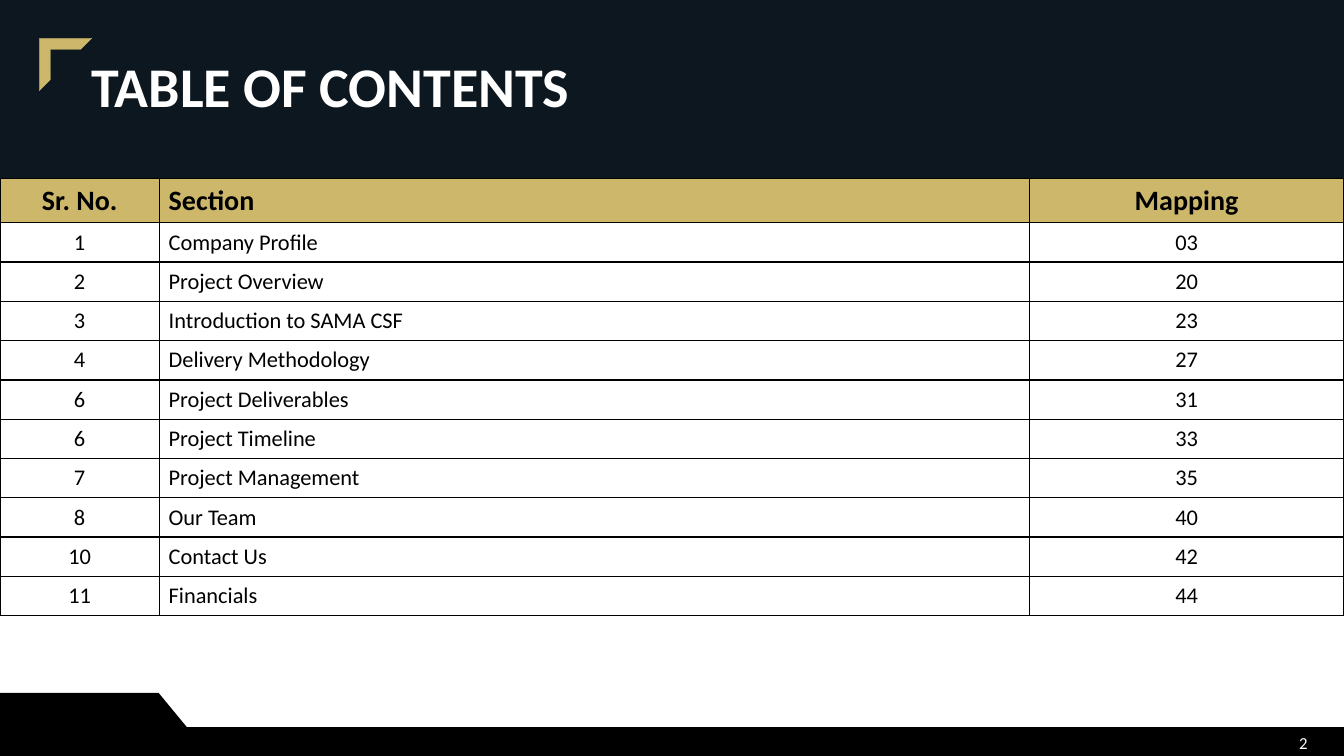
from dataclasses import dataclass

from lxml.etree import SubElement
from pptx import Presentation
from pptx.dml.color import RGBColor
from pptx.enum.shapes import MSO_SHAPE
from pptx.enum.text import MSO_ANCHOR, PP_ALIGN
from pptx.oxml.ns import qn
from pptx.util import Inches, Pt


@dataclass(frozen=True)
class Theme:
    """Colours, type sizes and the grid pitch of the deck."""
    navy: str = "0D171F"
    gold: str = "CCB76A"
    black: str = "000000"
    white: str = "FFFFFF"
    face: str = "Calibri"
    title: int = 40
    header: int = 20
    body: int = 16
    number: int = 12
    pitch: float = 0.1


@dataclass(frozen=True)
class Box:
    """A region measured in grid columns and rows."""
    left: float
    top: float
    width: float
    height: float

    def lengths(self):
        """Return left, top, width and height as slide lengths."""
        return [grid(n) for n in (self.left, self.top, self.width, self.height)]


THEME = Theme()
PAGE = Box(0, 0, 133.33, 75)
HEADINGS = ("Sr. No.", "Section", "Mapping")
SECTIONS = (
    ("1", "Company Profile", "03"),
    ("2", "Project Overview", "20"),
    ("3", "Introduction to SAMA CSF", "23"),
    ("4", "Delivery Methodology", "27"),
    ("6", "Project Deliverables", "31"),
    ("6", "Project Timeline", "33"),
    ("7", "Project Management", "35"),
    ("8", "Our Team", "40"),
    ("10", "Contact Us", "42"),
    ("11", "Financials", "44"),
)
COLUMNS = (15.8, 86.3, 31.23)
ALIGNMENTS = (PP_ALIGN.CENTER, PP_ALIGN.LEFT, PP_ALIGN.CENTER)
HEADER_ROW, BODY_ROW = 4.4, 3.9


def grid(count):
    """Turn a number of grid units into a slide length."""
    return Inches(count * THEME.pitch)


def colour(code):
    """Turn a hex code into a colour."""
    return RGBColor.from_string(code)


def write(frame, text, size, tint, align, bold=False):
    """Put one formatted paragraph in a text frame and return it."""
    para = frame.paragraphs[0]
    para.alignment = align
    span = para.add_run()
    span.text = text
    formats = {"name": THEME.face, "size": Pt(size), "bold": bold}
    for name, value in formats.items():
        setattr(span.font, name, value)
    span.font.color.rgb = colour(tint)
    return para


def add_outline(page, box, points, tint, weight):
    """Draw a closed filled outline from points relative to the box."""
    corners = [(grid(box.left + x), grid(box.top + y)) for x, y in points]
    builder = page.shapes.build_freeform(*corners[0])
    builder.add_line_segments(corners[1:], close=True)
    shape = builder.convert_to_shape()
    shape.shadow.inherit = False
    shape.fill.solid()
    shape.fill.fore_color.rgb = colour(tint)
    shape.line.color.rgb = colour(tint)
    shape.line.width = Pt(weight)


def add_footer(page, box, number):
    """Draw the stepped footer band and the page number."""
    step = 3.4
    points = ((0, 0), (15.7, 0), (18.5, step), (box.width, step),
              (box.width, box.height), (0, box.height))
    add_outline(page, box, points, THEME.black, 1)
    place = Box(box.left + 100.7, box.top + 2.9, 30, 4)
    frame = page.shapes.add_textbox(*place.lengths()).text_frame
    frame.word_wrap = True
    frame.vertical_anchor = MSO_ANCHOR.MIDDLE
    write(frame, number, THEME.number, THEME.white, PP_ALIGN.RIGHT)


def add_title(page, box, text):
    """Draw the title band with its indented heading."""
    band = page.shapes.add_shape(MSO_SHAPE.RECTANGLE, *box.lengths())
    band.shadow.inherit = False
    band.fill.solid()
    band.fill.fore_color.rgb = colour(THEME.navy)
    band.line.fill.background()
    band.text_frame.word_wrap = True
    band.text_frame.vertical_anchor = MSO_ANCHOR.MIDDLE
    para = write(band.text_frame, text, THEME.title, THEME.white, PP_ALIGN.LEFT, True)
    para.line_spacing = 0.9
    para._p.get_or_add_pPr().set("indent", str(grid(8.1)))


def add_corner(page, box):
    """Draw the bracket with bevelled ends."""
    size, thick = box.width, 1.1
    points = ((0, 0), (0, size), (thick, size - thick), (thick, thick),
              (size - thick, thick), (size, 0))
    add_outline(page, box, points, THEME.gold, 0.16)


def add_borders(cell):
    """Give a cell a thin black line on every side."""
    properties = cell._tc.get_or_add_tcPr()
    for place, side in enumerate(("lnL", "lnR", "lnT", "lnB")):
        line = SubElement(properties, qn(f"a:{side}"), w=str(Pt(1)))
        fill = SubElement(line, qn("a:solidFill"))
        SubElement(fill, qn("a:srgbClr"), val=THEME.black)
        properties.insert(place, line)


def fill_cell(cell, text, align, heading):
    """Write and style one table cell."""
    formats = {"vertical_anchor": MSO_ANCHOR.MIDDLE,
               "margin_left": grid(0.94), "margin_right": grid(0.94),
               "margin_top": grid(0.47), "margin_bottom": grid(0.47)}
    for name, value in formats.items():
        setattr(cell, name, value)
    if heading:
        cell.fill.solid()
        cell.fill.fore_color.rgb = colour(THEME.gold)
    else:
        cell.fill.background()
    add_borders(cell)
    size = THEME.header if heading else THEME.body
    write(cell.text_frame, text, size, THEME.black, align, heading)


def add_contents(page, box):
    """Build the table of sections."""
    records = (HEADINGS, *SECTIONS)
    table = page.shapes.add_table(len(records), len(COLUMNS), *box.lengths()).table
    table.first_row = table.horz_banding = False
    for column, width in zip(table.columns, COLUMNS):
        column.width = grid(width)
    for index, (row, record) in enumerate(zip(table.rows, records)):
        row.height = grid(BODY_ROW if index else HEADER_ROW)
        for cell, text, align in zip(row.cells, record, ALIGNMENTS):
            fill_cell(cell, text, align, index == 0)


def build_contents_page(deck, box):
    """Compose the contents page from its regions."""
    page = deck.slides.add_slide(deck.slide_layouts[6])
    band, footer = 17.7, 6.2
    height = HEADER_ROW + BODY_ROW * len(SECTIONS)
    add_footer(page, Box(box.left, box.height - footer, box.width, footer), "2")
    add_title(page, Box(box.left, box.top, box.width, band), "TABLE OF CONTENTS")
    add_contents(page, Box(box.left, box.top + band, box.width, height))
    add_corner(page, Box(box.left + 3.9, box.top + 3.8, 5.2, 5.2))


def main():
    """Create and save the deck."""
    deck = Presentation()
    deck.slide_width, deck.slide_height = grid(PAGE.width), grid(PAGE.height)
    build_contents_page(deck, PAGE)
    deck.save("out.pptx")


if __name__ == "__main__":
    main()
